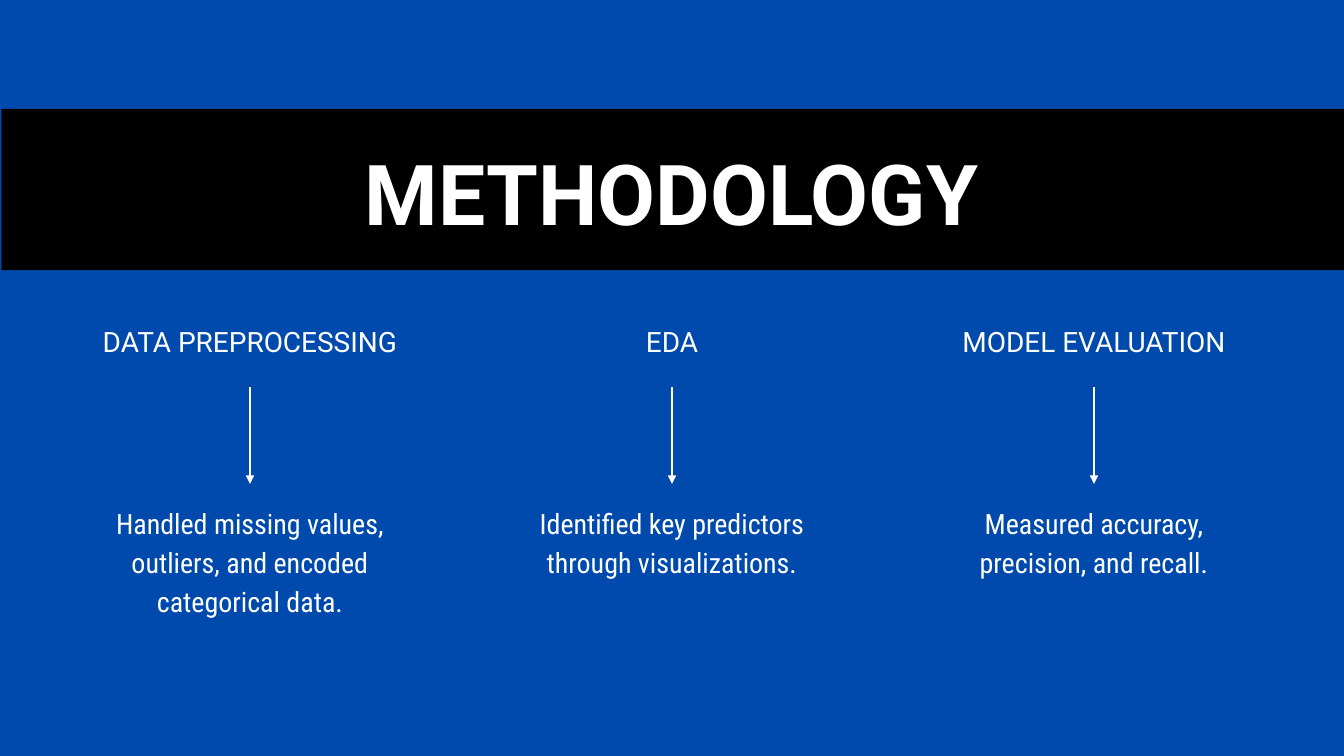
from lxml import etree
from pptx import Presentation
from pptx.dml.color import RGBColor
from pptx.enum.shapes import MSO_CONNECTOR, MSO_SHAPE
from pptx.enum.text import MSO_ANCHOR, MSO_AUTO_SIZE, PP_ALIGN
from pptx.oxml.ns import qn
from pptx.util import Inches, Pt

BLUE, BLACK, WHITE = "004AAD", "000000", "FFFFFF"
STEPS = [
    ("DATA PREPROCESSING",
     "Handled missing values, outliers, and encoded categorical data.", 1.75),
    ("EDA", "Identified key predictors through visualizations.", 1.17),
    ("MODEL EVALUATION", "Measured accuracy, precision, and recall.", 1.17),
]
STEP_WIDTH, STEP_PITCH = 5.19, 6.28


def color(hex_value):
    return RGBColor.from_string(hex_value)


def place(shape, left, top, width, height):
    shape.left, shape.top = Inches(left), Inches(top)
    shape.width, shape.height = Inches(width), Inches(height)


def write(shape, text, size=30, font="Roboto", bold=False, ink=WHITE,
          spacing=42, fit=MSO_AUTO_SIZE.SHAPE_TO_FIT_TEXT):
    frame = shape.text_frame
    frame.word_wrap = True
    frame.auto_size = fit
    frame.vertical_anchor = MSO_ANCHOR.TOP
    frame.margin_left = frame.margin_right = 0
    frame.margin_top = frame.margin_bottom = 0
    paragraph = frame.paragraphs[0]
    paragraph.alignment = PP_ALIGN.CENTER
    paragraph.line_spacing = Pt(spacing)
    run = paragraph.add_run()
    run.text = text
    run.font.name = font
    run.font.size = Pt(size)
    run.font.bold = bold
    run.font.color.rgb = color(ink)


def add_text(slide, box, text, **style):
    write(slide.shapes.add_textbox(*map(Inches, box)), text, **style)


def add_down_arrow(slide, x, top, bottom):
    arrow = slide.shapes.add_connector(
        MSO_CONNECTOR.STRAIGHT, Inches(x), Inches(top), Inches(x), Inches(bottom))
    arrow.line.color.rgb = color(WHITE)
    arrow.line.width = Pt(3)
    etree.SubElement(arrow.line._get_or_add_ln(), qn("a:tailEnd"), type="triangle")
    etree.SubElement(arrow.element.spPr, qn("a:effectLst"))


def add_title_band(slide, left, top, width, height):
    band = slide.shapes.add_shape(
        MSO_SHAPE.RECTANGLE, *map(Inches, (left, top, width, height)))
    band.shadow.inherit = False
    band.fill.solid()
    band.fill.fore_color.rgb = color(BLACK)
    band.line.fill.background()

    title = slide.shapes.title
    title.element.addprevious(band.element)  # keeps the band behind the title
    place(title, left + 3.3, top + 0.23, 13.35, 1.7)
    write(title, "METHODOLOGY", size=90, bold=True, spacing=126,
          fit=MSO_AUTO_SIZE.NONE)


def add_step(slide, left, top, width, heading, description, description_height):
    """Stack a heading, a down arrow and a description on one centre line."""
    center = left + width / 2
    description_width = 4.23
    add_text(slide, (left, top, width, 0.58), heading)
    add_down_arrow(slide, center, top + 1.01, top + 2.45)
    add_text(slide, (center - description_width / 2, top + 2.7,
                     description_width, description_height),
             description, font="Roboto Condensed")


def main():
    presentation = Presentation()
    presentation.slide_width, presentation.slide_height = Inches(20), Inches(11.25)
    slide = presentation.slides.add_slide(presentation.slide_layouts[5])
    slide.background.fill.solid()
    slide.background.fill.fore_color.rgb = color(BLUE)

    add_title_band(slide, 0.02, 1.62, 20, 2.4)
    for column, step in enumerate(STEPS):
        center = 10 + (column - 1) * STEP_PITCH
        add_step(slide, center - STEP_WIDTH / 2, 4.75, STEP_WIDTH, *step)
    presentation.save("out.pptx")


if __name__ == "__main__":
    main()
